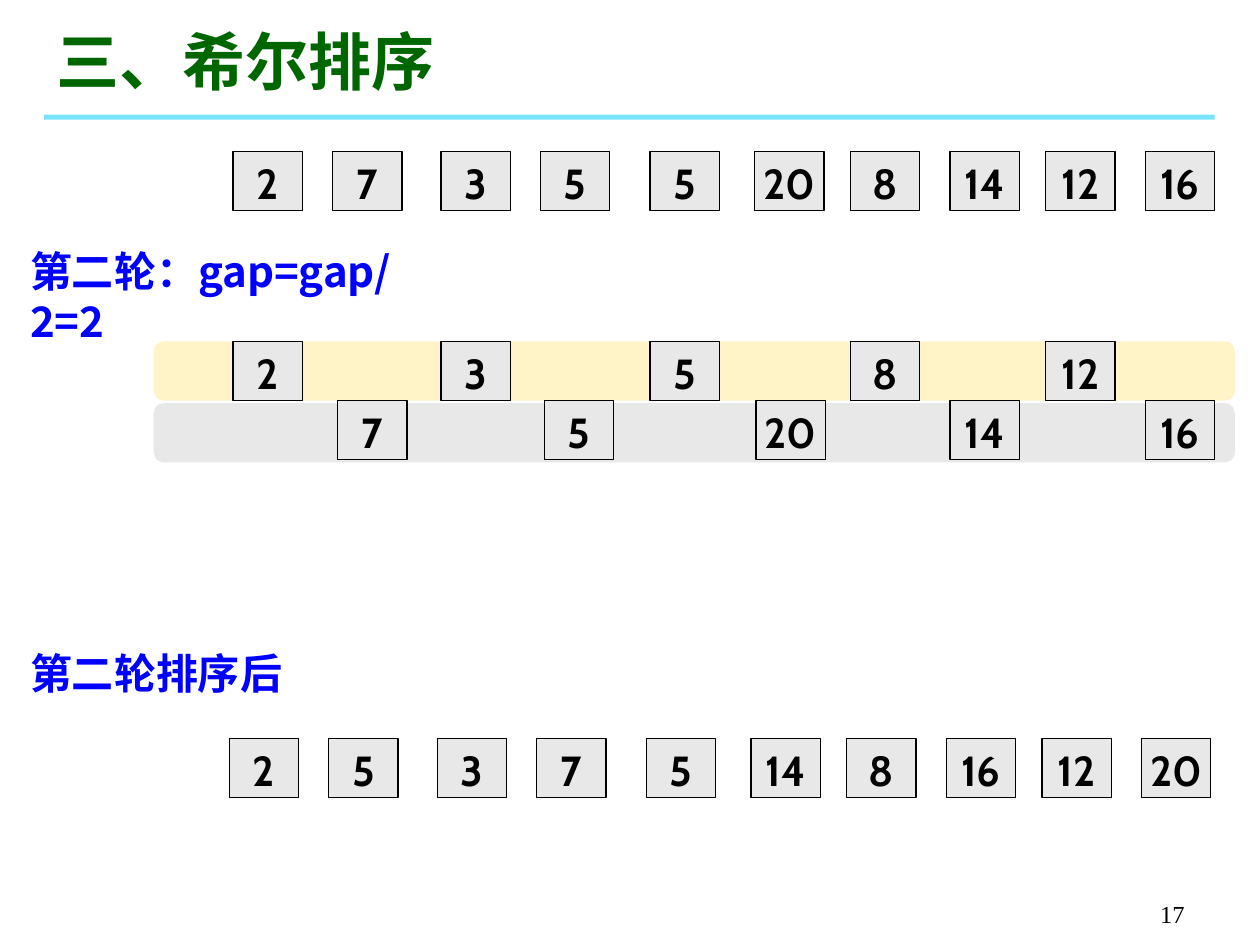
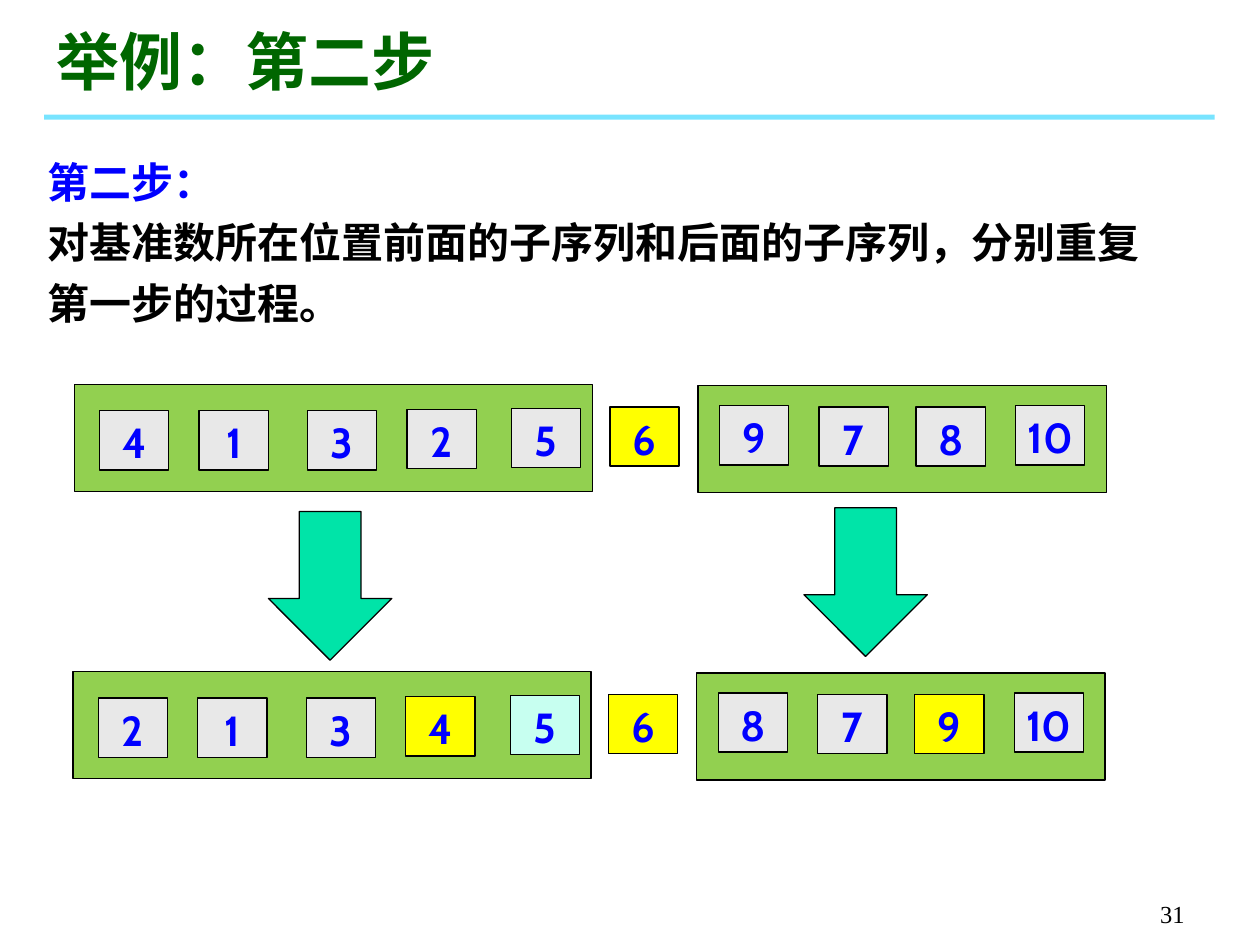
import pptx
import pptx.dml.color
import pptx.enum.shapes
import pptx.enum.text
import pptx.oxml.ns
import pptx.util
from lxml import etree

RGB = pptx.dml.color.RGBColor
SHAPE = pptx.enum.shapes.MSO_SHAPE
ALIGN = pptx.enum.text.PP_ALIGN
ANCHOR = pptx.enum.text.MSO_ANCHOR
AUTO_SIZE = pptx.enum.text.MSO_AUTO_SIZE
Inches = pptx.util.Inches
Pt = pptx.util.Pt
qn = pptx.oxml.ns.qn

BLACK = RGB(0x00, 0x00, 0x00)
BLUE = RGB(0x00, 0x00, 0xFF)
TITLE_GREEN = RGB(0x00, 0x66, 0x00)
RULE_CYAN = RGB(0x00, 0xCC, 0xFF)
GREY = RGB(0xE8, 0xE8, 0xE8)
CREAM = RGB(0xFF, 0xF4, 0xC8)
LIME = RGB(0x92, 0xD0, 0x50)
YELLOW = RGB(0xFF, 0xFF, 0x00)
MINT = RGB(0xC7, 0xFF, 0xF0)
TEAL = RGB(0x00, 0xE4, 0xA8)

SERIF, SANS, DIGITS = "Times New Roman", "Noto Sans CJK SC", "Cabin"
CELL_W, CELL_H = 0.55, 0.47


def write(paragraph, text, font, size, colour, bold=True):
    """Add one run, with the Chinese characters set in the sans face."""
    run = paragraph.add_run()
    run.text = text
    run.font.name = font
    run.font.size = Pt(size)
    run.font.bold = bold
    run.font.color.rgb = colour
    east_asian = etree.SubElement(run.font._element, qn("a:ea"))
    east_asian.set("typeface", SANS)


def add_block(slide, preset, box, fill, outlined=True, label=None, ink=BLACK):
    block = slide.shapes.add_shape(preset, *map(Inches, box))
    block.shadow.inherit = False
    block.fill.solid()
    block.fill.fore_color.rgb = fill
    if outlined:
        block.line.color.rgb = BLACK
        block.line.width = Pt(0.75)
    else:
        block.line.fill.background()
    if label is not None:
        frame = block.text_frame
        frame.word_wrap = False
        frame.vertical_anchor = ANCHOR.TOP
        frame.paragraphs[0].alignment = ALIGN.CENTER
        write(frame.paragraphs[0], str(label), DIGITS, 24, ink)
    return block


deck = pptx.Presentation()
deck.slide_width, deck.slide_height = Inches(10), Inches(7.5)
blank = deck.slide_layouts[6]

# Title, rule and page number on both slides
shell_slide, quick_slide = slides = [deck.slides.add_slide(blank) for _ in range(2)]
for slide, title, number in zip(slides, ("三、希尔排序", "举例：第二步"), ("17", "31")):
    rule = add_block(slide, SHAPE.RECTANGLE, (0.35, 0.91, 9.29, 0.04), RULE_CYAN, outlined=False)
    rule_colour = rule.fill._xPr.find(qn("a:solidFill"))[0]
    etree.SubElement(rule_colour, qn("a:alpha")).set("val", "53000")

    heading = slide.shapes.add_textbox(*map(Inches, (0.35, 0.13, 5.36, 0.7))).text_frame
    heading.word_wrap = True
    heading.vertical_anchor = ANCHOR.BOTTOM
    heading.auto_size = AUTO_SIZE.SHAPE_TO_FIT_TEXT
    write(heading.paragraphs[0], title, SERIF, 36, TITLE_GREEN)

    page = slide.shapes.add_textbox(*map(Inches, (7.42, 6.92, 2.08, 0.5))).text_frame
    page.word_wrap = True
    page.vertical_anchor = ANCHOR.BOTTOM
    page.paragraphs[0].alignment = ALIGN.RIGHT
    write(page.paragraphs[0], number, SERIF, 14, BLACK, bold=False)

# Explanations: slide, box, font, line spacing, lines
explanations = [
    (shell_slide, (0.14, 1.9, 3.43, 0.5), SANS, 1.0, [("第二轮：gap=gap/2=2", BLUE)]),
    (shell_slide, (0.14, 5.09, 2.5, 0.5), SANS, 1.0, [("第二轮排序后", BLUE)]),
    (quick_slide, (0.28, 1.11, 9.15, 1.56), SERIF, 1.2,
     [("第二步：", BLUE),
      ("对基准数所在位置前面的子序列和后面的子序列，分别重复第一步的过程。", BLACK)]),
]
for slide, box, font, spacing, lines in explanations:
    frame = slide.shapes.add_textbox(*map(Inches, box)).text_frame
    frame.word_wrap = True
    frame.auto_size = AUTO_SIZE.SHAPE_TO_FIT_TEXT
    for index, (text, colour) in enumerate(lines):
        paragraph = frame.add_paragraph() if index else frame.paragraphs[0]
        paragraph.line_spacing = spacing
        write(paragraph, text, font, 24, colour)

# Shell sort: the two gap-2 groups sit on separate lanes
for lane_top, lane_colour in ((3.2, GREY), (2.71, CREAM)):
    add_block(shell_slide, SHAPE.ROUNDED_RECTANGLE, (1.22, lane_top, 8.58, CELL_H),
              lane_colour, outlined=False)

shell_columns = [1.85, 2.64, 3.5, 4.29, 5.16, 5.99, 6.75, 7.54, 8.3, 9.09]
grouped_columns = [1.85, 2.68, 3.5, 4.32, 5.16, 6, 6.75, 7.54, 8.3, 9.09]
after_columns = [left - 0.03 for left in shell_columns]
before_round = [2, 7, 3, 5, 5, 20, 8, 14, 12, 16]
after_round = [2, 5, 3, 7, 5, 14, 8, 16, 12, 20]
shell_rows = [
    (shell_columns, (1.2, 1.2), before_round),
    (grouped_columns, (2.71, 3.18), before_round),
    (after_columns, (5.86, 5.86), after_round),
]
for columns, lane_tops, values in shell_rows:
    for index, (left, value) in enumerate(zip(columns, values)):
        add_block(shell_slide, SHAPE.RECTANGLE, (left, lane_tops[index % 2], CELL_W, CELL_H),
                  GREY, label=value)

# Quick sort: each side of the pivot 6 is partitioned again
quick_columns = [0.79, 1.58, 2.44, 3.23, 4.06, 4.84, 5.71, 6.5, 7.27, 8.06]
quick_tops = [3.26, 3.26, 3.26, 3.25, 3.24, 3.23, 3.22, 3.23, 3.23, 3.22]
quick_rows = [
    (0, 0, [4, 1, 3, 2, 5, 6, 9, 7, 8, 10], {6: YELLOW}),
    (-0.01, 2.28, [2, 1, 3, 4, 5, 6, 8, 7, 9, 10],
     {4: YELLOW, 5: MINT, 6: YELLOW, 9: YELLOW}),
]
for shift, drop, values, highlights in quick_rows:
    for left, top, width in ((5.54, 3.06, 3.24), (0.59, 3.05, 4.11)):
        add_block(quick_slide, SHAPE.RECTANGLE, (left + shift, top + drop, width, 0.85), LIME)
    for left, top, value in zip(quick_columns, quick_tops, values):
        add_block(quick_slide, SHAPE.RECTANGLE, (left + shift, top + drop, CELL_W, CELL_H),
                  highlights.get(value, GREY), label=value, ink=BLUE)

for left, top in ((2.13, 4.06), (6.38, 4.03)):
    add_block(quick_slide, SHAPE.DOWN_ARROW, (left, top, 0.98, 1.18), TEAL)

deck.save("out.pptx")
